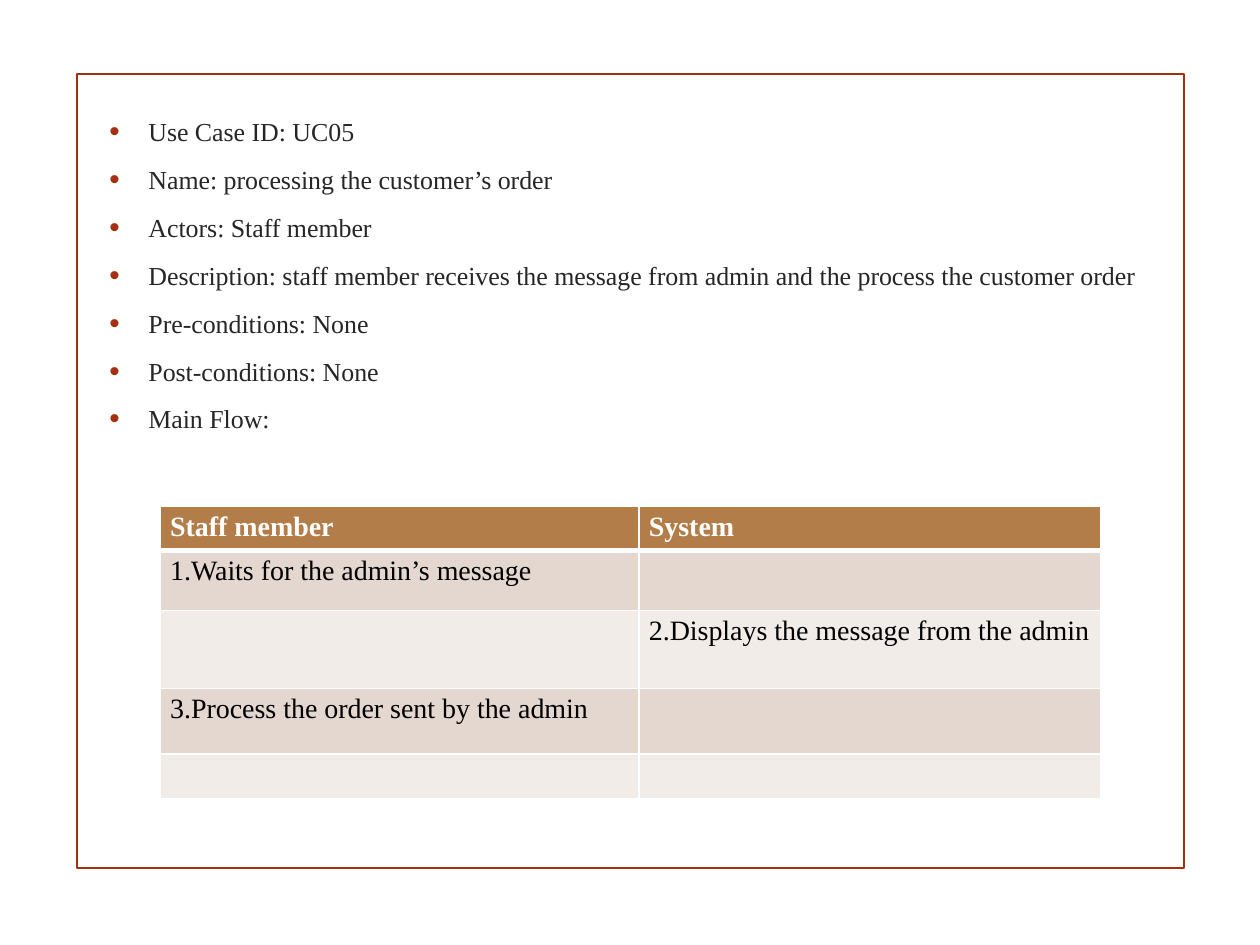
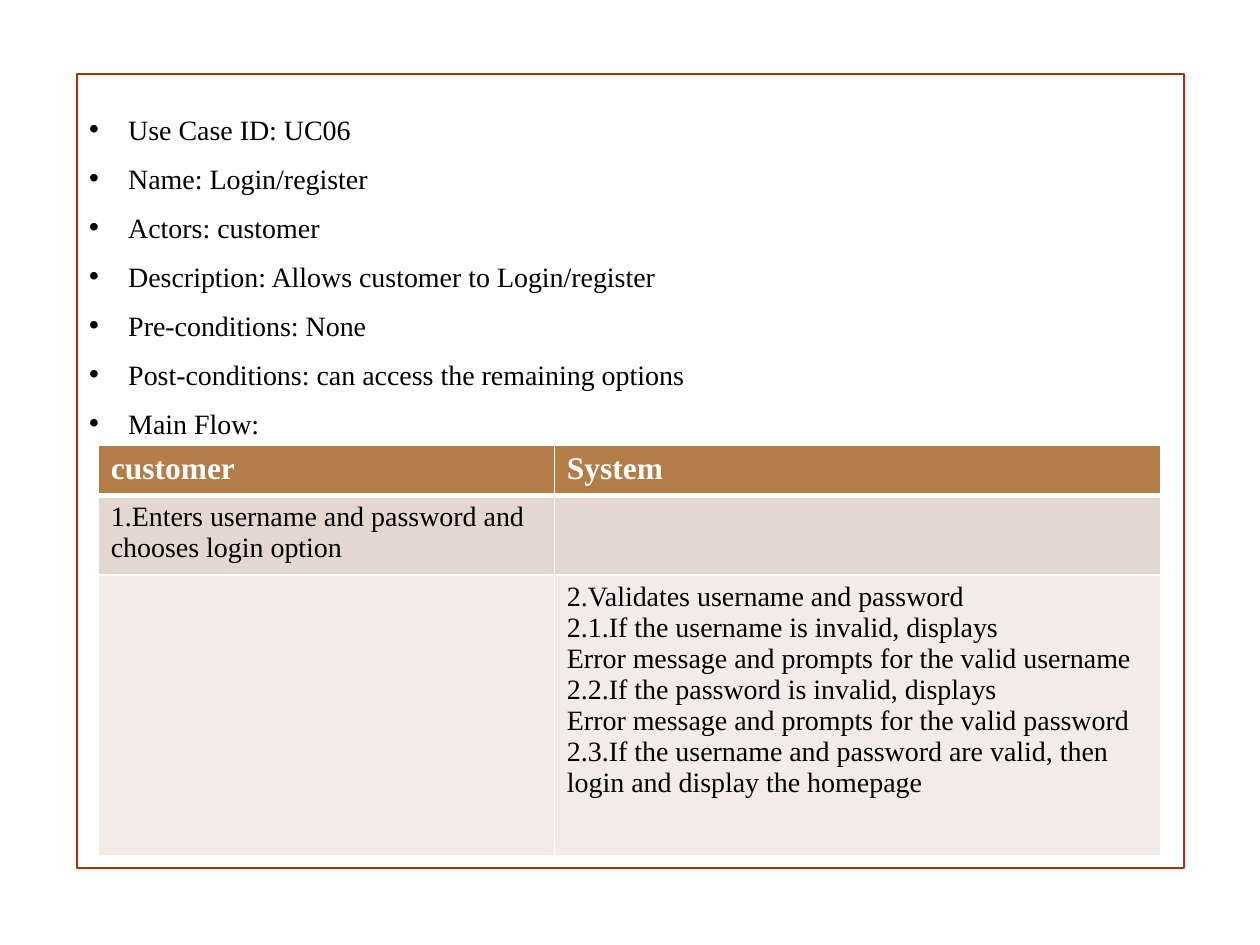
from dataclasses import dataclass
from typing import Optional

from lxml import etree
from pptx import Presentation
from pptx.dml.color import RGBColor
from pptx.enum.shapes import MSO_SHAPE
from pptx.oxml.ns import qn
from pptx.util import Inches, Pt

RECTANGLE = MSO_SHAPE.RECTANGLE
FONT = "Times New Roman"
RUST = RGBColor(0xA5, 0x30, 0x0F)
CHARCOAL = RGBColor(0x26, 0x26, 0x26)
BLACK = RGBColor(0, 0, 0)
WHITE = RGBColor(0xFF, 0xFF, 0xFF)
HEADER_FILL = RGBColor(0xB2, 0x7D, 0x49)
BAND_FILLS = (RGBColor(0xF2, 0xEC, 0xE9), RGBColor(0xE4, 0xD7, 0xD0))

GRID_COLUMNS, GRID_ROWS = 100, 75
UNIT = Inches(0.1)
FRAME_BOX = (6.1, 5.9, 87.9, 63)
BULLET_INDENT = 3.1
FIELDS = ("Use Case ID", "Name", "Actors", "Description",
          "Pre-conditions", "Post-conditions", "Main Flow")


@dataclass
class ListStyle:
    size: float
    color: RGBColor
    before: float = 0
    after: float = 0
    line: Optional[float] = None
    bullet_color: Optional[RGBColor] = None
    bullet_percent: int = 100


@dataclass
class TableStyle:
    header_size: float
    margin_across: float
    margin_down: float
    body_size: float = 16


def grid(*lengths):
    return [round(length * UNIT) for length in lengths]


def set_font(para, size, color, bold=False):
    para.font.name = FONT
    para.font.size = Pt(size)
    para.font.color.rgb = color
    para.font.bold = bold


def add_bullet(para, style):
    properties = para._p.get_or_add_pPr()
    indent = round(BULLET_INDENT * UNIT)
    properties.set("marL", str(indent))
    properties.set("indent", str(-indent))
    color = etree.SubElement(properties, qn("a:buClr"))
    etree.SubElement(color, qn("a:srgbClr"), val=str(style.bullet_color or style.color))
    etree.SubElement(properties, qn("a:buSzPct"), val=str(style.bullet_percent * 1000))
    etree.SubElement(properties, qn("a:buFont"), typeface="Arial")
    etree.SubElement(properties, qn("a:buChar"), char="•")


def add_frame(page):
    frame = page.shapes.add_shape(RECTANGLE, *grid(*FRAME_BOX))
    frame.shadow.inherit = False
    frame.fill.background()
    frame.line.color.rgb = RUST
    frame.line.width = Pt(1.25)


def add_details(page, box, values, style):
    text = page.shapes.add_textbox(*grid(*box)).text_frame
    text.word_wrap = True
    for index, (field, value) in enumerate(zip(FIELDS, values)):
        para = text.add_paragraph() if index else text.paragraphs[0]
        para.text = f"{field}: {value}".rstrip()
        para.space_before = Pt(style.before)
        para.space_after = Pt(style.after)
        if style.line:
            para.line_spacing = Pt(style.line)
        add_bullet(para, style)
        set_font(para, style.size, style.color)


def set_borders(cell, row_index):
    properties = cell._tc.get_or_add_tcPr()
    widths = {"L": 1, "R": 1, "T": 3 if row_index == 1 else 1,
              "B": 3 if row_index == 0 else 1}
    for side, width in widths.items():
        line = etree.SubElement(properties, qn(f"a:ln{side}"), w=str(Pt(width)))
        fill = etree.SubElement(line, qn("a:solidFill"))
        etree.SubElement(fill, qn("a:srgbClr"), val=str(WHITE))


def fill_cell(cell, row_index, content, style):
    is_header = row_index == 0
    set_borders(cell, row_index)
    cell.fill.solid()
    cell.fill.fore_color.rgb = HEADER_FILL if is_header else BAND_FILLS[row_index % 2]
    cell.margin_left, cell.margin_right = grid(style.margin_across, style.margin_across)
    cell.margin_top, cell.margin_bottom = grid(style.margin_down, style.margin_down)
    cell.text = content
    for para in cell.text_frame.paragraphs:
        set_font(para, style.header_size if is_header else style.body_size,
                 WHITE if is_header else BLACK, is_header)


def add_flow(page, corner, widths, heights, contents, style):
    size = sum(widths), sum(heights)
    table = page.shapes.add_table(len(heights), len(widths), *grid(*corner, *size)).table
    table.first_row = table.horz_banding = False
    for column, width in zip(table.columns, grid(*widths)):
        column.width = width
    for row_index, height in enumerate(grid(*heights)):
        table.rows[row_index].height = height
        for cell, content in zip(table.rows[row_index].cells, contents[row_index]):
            fill_cell(cell, row_index, content, style)


def add_use_case(deck, details, flow):
    page = deck.slides.add_slide(deck.slide_layouts[6])
    add_frame(page)
    add_details(page, **details)
    add_flow(page, **flow)


ORDER_DETAILS = dict(
    box=(7.7, 8.7, 86.4, 28.8),
    values=("UC05", "processing the customer’s order", "Staff member",
            "staff member receives the message from admin and the process the customer order",
            "None", "None", ""),
    style=ListStyle(14.8, CHARCOAL, before=3.6, after=6,
                    bullet_color=RUST, bullet_percent=115),
)
ORDER_FLOW = dict(
    corner=(12.7, 40.2),
    widths=(38, 36.7),
    heights=(3.3, 4.8, 6.2, 5.2, 3.5),
    contents=(("Staff member", "System"),
              ("1.Waits for the admin’s message", ""),
              ("", "2.Displays the message from the admin"),
              ("3.Process the order sent by the admin", ""),
              ("", "")),
    style=TableStyle(16, 0.8, 0.4),
)
LOGIN_DETAILS = dict(
    box=(6.1, 7.2, 89.7, 28.2),
    values=("UC06", "Login/register", "customer", "Allows customer to Login/register",
            "None", "can access the remaining options", ""),
    style=ListStyle(16, BLACK, line=28),
)
LOGIN_FLOW = dict(
    corner=(7.8, 35.3),
    widths=(36.2, 48.1),
    heights=(4, 6.2, 22.3),
    contents=(("customer", "System"),
              ("1.Enters username and password and chooses login option", ""),
              ("", "2.Validates username and password\n"
                   "2.1.If the username is invalid, displays\n"
                   "Error message and prompts for the valid username\n"
                   "2.2.If the password is invalid, displays\n"
                   "Error message and prompts for the valid password\n"
                   "2.3.If the username and password are valid, then "
                   "login and display the homepage")),
    style=TableStyle(18, 1, 0.5),
)


def main():
    deck = Presentation()
    deck.slide_width, deck.slide_height = grid(GRID_COLUMNS, GRID_ROWS)
    add_use_case(deck, ORDER_DETAILS, ORDER_FLOW)
    add_use_case(deck, LOGIN_DETAILS, LOGIN_FLOW)
    deck.save("out.pptx")


if __name__ == "__main__":
    main()
